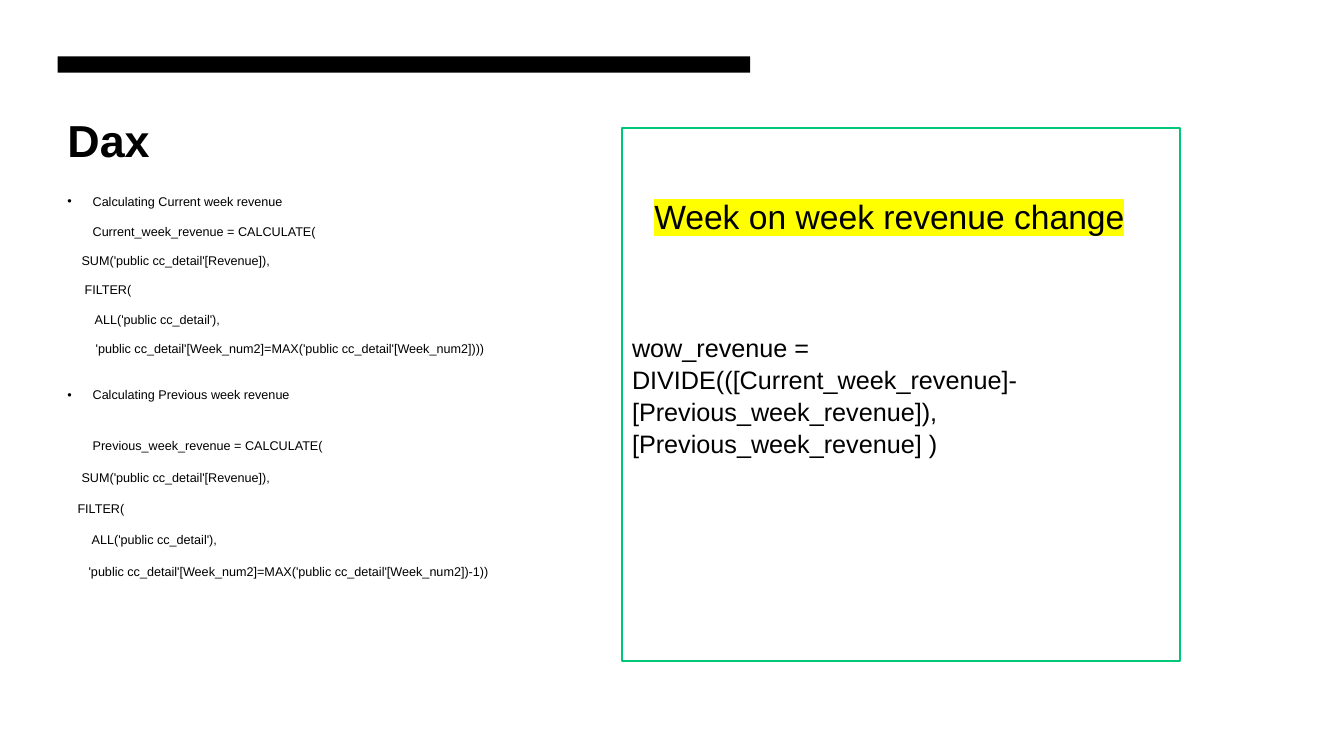
from dataclasses import dataclass

from lxml.etree import SubElement
from pptx import Presentation
from pptx.dml.color import RGBColor as Rgb
from pptx.enum.shapes import MSO_SHAPE as Preset
from pptx.enum.text import MSO_ANCHOR as Anchor, PP_ALIGN as Align
from pptx.oxml.ns import qn
from pptx.util import Inches, Pt

TITLE = "Dax"
HEADLINE = "Week on week revenue change"
WOW_FORMULA = ("wow_revenue = DIVIDE(([Current_week_revenue]-"
               "[Previous_week_revenue]),[Previous_week_revenue] )")

# Each measure: line spacing, then lines of (text, left indent in inches, space before in points)
MEASURES = [
    (1.0, [
        ("Calculating Current week revenue", 0.25, 0),
        ("Current_week_revenue = CALCULATE(", 0.25, 11),
        ("SUM('public cc_detail'[Revenue]),", 0.14, 10),
        ("FILTER(", 0.17, 10),
        ("ALL('public cc_detail'),", 0.27, 10),
        ("'public cc_detail'[Week_num2]=MAX('public cc_detail'[Week_num2])))", 0.28, 10),
    ]),
    (1.1, [
        ("Calculating Previous week revenue", 0.25, 21.5),
        ("Previous_week_revenue = CALCULATE(", 0.25, 24.5),
        ("SUM('public cc_detail'[Revenue]),", 0.14, 10.5),
        ("FILTER(", 0.1, 10.5),
        ("ALL('public cc_detail'),", 0.24, 10.5),
        ("'public cc_detail'[Week_num2]=MAX('public cc_detail'[Week_num2])-1))", 0.21, 10.5),
    ]),
]

# Left, top, width, height in percent of the slide
AREAS = {
    "bar": (4.28, 7.47, 51.54, 2.13),
    "title": (4.28, 14.27, 51.76, 21.33),
    "measures": (4.28, 24.93, 37.43, 72.8),
    "panel": (46.29, 16.93, 41.49, 70.53),
    "headline": (47.94, 24.93, 38.18, 6.67),
}


@dataclass(frozen=True)
class Theme:
    font: str = "Arial"
    ink: str = "000000"
    paper: str = "FFFFFF"
    accent: str = "00C777"
    marker: str = "FFFF00"
    title: int = 32
    headline: int = 24
    formula: int = 18
    code: int = 9


theme = Theme()
deck = Presentation()
deck.slide_width, deck.slide_height = Inches(13.33), Inches(7.5)
slide = deck.slides.add_slide(deck.slide_layouts[6])
slide.background.fill.solid()
slide.background.fill.fore_color.rgb = Rgb.from_string(theme.paper)


def area(part):
    sides = (deck.slide_width, deck.slide_height) * 2
    return [int(side * share / 100) for side, share in zip(sides, AREAS[part])]


def add_box(part, fill, line=None):
    box = slide.shapes.add_shape(Preset.RECTANGLE, *area(part))
    box.shadow.inherit = False
    box.fill.solid()
    box.fill.fore_color.rgb = Rgb.from_string(fill)
    if line:
        box.line.color.rgb = Rgb.from_string(line)
        box.line.width = Pt(1.5)
    else:
        box.line.fill.background()
    return box


def add_frame(part):
    frame = slide.shapes.add_textbox(*area(part)).text_frame
    frame.word_wrap = True
    return frame


def write(frame, text, size, bold=False, highlight=None, spacing=1.0,
          before=0, indent=0, bullet=False):
    """Fill the frame's first empty paragraph, or append a new one."""
    first = frame.paragraphs[0]
    paragraph = frame.add_paragraph() if first.runs else first
    paragraph.alignment = Align.LEFT
    paragraph.line_spacing = spacing
    paragraph.space_before = Pt(before)
    properties = paragraph._p.get_or_add_pPr()
    properties.set("marL", str(Inches(indent)))
    properties.set("indent", str(-Inches(indent) if bullet else 0))
    if bullet:
        SubElement(properties, qn("a:buFont")).set("typeface", theme.font)
        SubElement(properties, qn("a:buChar")).set("char", "•")
    run = paragraph.add_run()
    run.text = text
    run.font.size, run.font.bold = Pt(size), bold
    run.font.color.rgb = Rgb.from_string(theme.ink)
    if highlight:
        mark = SubElement(run._r.get_or_add_rPr(), qn("a:highlight"))
        SubElement(mark, qn("a:srgbClr")).set("val", highlight)
    run.font.name = theme.font


add_box("bar", theme.ink)
write(add_frame("title"), TITLE, theme.title, bold=True)

measures = add_frame("measures")
for spacing, lines in MEASURES:
    for row, (text, indent, before) in enumerate(lines):
        write(measures, text, theme.code, spacing=spacing, before=before,
              indent=indent, bullet=row == 0)

panel = add_box("panel", theme.paper, line=theme.accent).text_frame
panel.word_wrap = True
panel.vertical_anchor = Anchor.MIDDLE
write(panel, WOW_FORMULA, theme.formula, spacing=1.05)
write(add_frame("headline"), HEADLINE, theme.headline,
      highlight=theme.marker, spacing=1.05)

deck.save("out.pptx")
